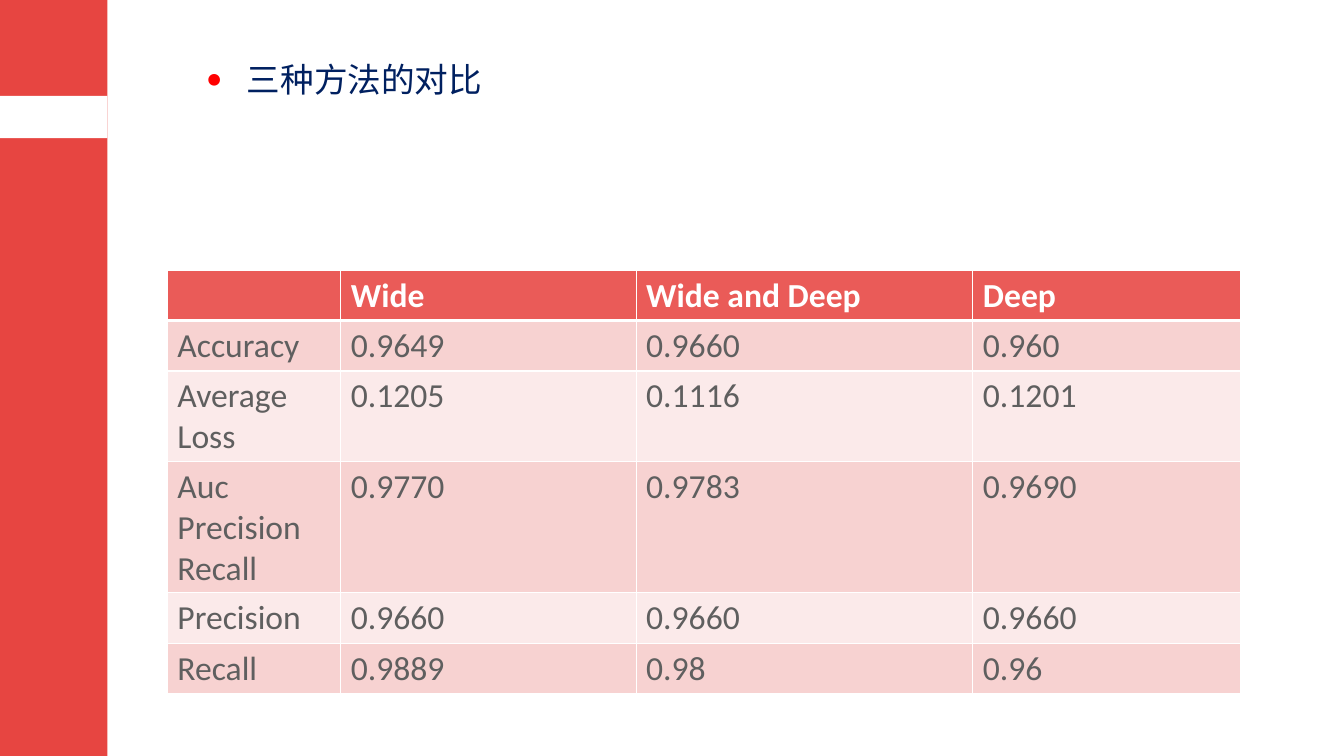
from dataclasses import dataclass

from lxml import etree
from pptx import Presentation
from pptx.dml.color import RGBColor
from pptx.enum.shapes import MSO_SHAPE
from pptx.enum.text import MSO_ANCHOR
from pptx.oxml.ns import qn
from pptx.util import Inches, Pt

RECTANGLE = MSO_SHAPE.RECTANGLE
MIDDLE = MSO_ANCHOR.MIDDLE

HEADING = "三种方法的对比"
METHODS = ["", "Wide", "Wide and Deep", "Deep"]
METRICS = [
    ("Accuracy", "0.9649", "0.9660", "0.960"),
    ("Average Loss", "0.1205", "0.1116", "0.1201"),
    ("Auc Precision Recall", "0.9770", "0.9783", "0.9690"),
    ("Precision", "0.9660", "0.9660", "0.9660"),
    ("Recall", "0.9889", "0.98", "0.96"),
]

SLIDE_W, SLIDE_H = 13.33, 7.5
SIDEBAR_W = 0.08 * SLIDE_W
GAP_TOP, GAP_H = 0.95, 0.42
HEADING_BOX = (1.95, 0.39, 5.85, 0.79)
BULLET_INDENT = 0.4
TABLE_LEFT, TABLE_TOP = 1.66, 2.68
COLUMN_WIDTHS = [1.72, 2.93, 3.34, 2.66]
ROW_H = 0.41


@dataclass(frozen=True)
class Theme:
    font: str = "Calibri"
    size: int = 24
    bullet_percent: int = 75
    sidebar: str = "E74541"
    white: str = "FFFFFF"
    bullet: str = "FF0000"
    heading: str = "002060"
    header: str = "EA5B58"
    bands: tuple = ("F7D2D1", "FBEAEA")
    body: str = "5F5F5F"
    border: int = 1
    header_rule: int = 3


THEME = Theme()


def add_block(slide, top, height, color):
    block = slide.shapes.add_shape(
        RECTANGLE, 0, Inches(top), Inches(SIDEBAR_W), Inches(height))
    block.shadow.inherit = False
    block.fill.solid()
    block.fill.fore_color.rgb = RGBColor.from_string(color)
    block.line.fill.background()


def add_text(paragraph, text, color, bold=False):
    run = paragraph.add_run()
    run.text = text
    run.font.name = THEME.font
    run.font.size = Pt(THEME.size)
    run.font.bold = bold
    run.font.color.rgb = RGBColor.from_string(color)


def set_bullet(paragraph):
    props = paragraph._p.get_or_add_pPr()
    props.set("marL", str(Inches(BULLET_INDENT)))
    props.set("indent", str(-Inches(BULLET_INDENT)))
    color = etree.SubElement(props, qn("a:buClr"))
    etree.SubElement(color, qn("a:srgbClr"), val=THEME.bullet)
    etree.SubElement(props, qn("a:buSzPct"), val=str(THEME.bullet_percent * 1000))
    etree.SubElement(props, qn("a:buFont"), typeface=THEME.font)
    etree.SubElement(props, qn("a:buChar"), char="●")


def set_borders(cell, top, bottom):
    """Draw white borders; top and bottom are widths in points."""
    props = cell._tc.get_or_add_tcPr()
    widths = {"L": THEME.border, "R": THEME.border, "T": top, "B": bottom}
    for side, width in widths.items():
        line = etree.SubElement(props, qn(f"a:ln{side}"), w=str(Pt(width)))
        fill = etree.SubElement(line, qn("a:solidFill"))
        etree.SubElement(fill, qn("a:srgbClr"), val=THEME.white)


def add_heading(slide):
    box = slide.shapes.add_textbox(*map(Inches, HEADING_BOX))
    frame = box.text_frame
    frame.word_wrap = True
    frame.vertical_anchor = MIDDLE
    paragraph = frame.paragraphs[0]
    set_bullet(paragraph)
    add_text(paragraph, HEADING, THEME.heading)


def add_comparison(slide):
    rows = [METHODS, *METRICS]
    table = slide.shapes.add_table(
        len(rows), len(METHODS), Inches(TABLE_LEFT), Inches(TABLE_TOP),
        Inches(sum(COLUMN_WIDTHS)), Inches(ROW_H * len(rows))).table
    for column, width in zip(table.columns, COLUMN_WIDTHS):
        column.width = Inches(width)
    for r, values in enumerate(rows):
        table.rows[r].height = Inches(ROW_H)
        is_header = r == 0
        fill = THEME.header if is_header else THEME.bands[(r - 1) % 2]
        color = THEME.white if is_header else THEME.body
        top = THEME.header_rule if r == 1 else THEME.border
        bottom = THEME.header_rule if is_header else THEME.border
        for c, value in enumerate(values):
            cell = table.cell(r, c)
            set_borders(cell, top, bottom)
            cell.fill.solid()
            cell.fill.fore_color.rgb = RGBColor.from_string(fill)
            if value:
                add_text(cell.text_frame.paragraphs[0], value, color, is_header)


def main():
    deck = Presentation()
    deck.slide_width, deck.slide_height = Inches(SLIDE_W), Inches(SLIDE_H)
    slide = deck.slides.add_slide(deck.slide_layouts[6])
    add_block(slide, 0, SLIDE_H, THEME.sidebar)
    add_block(slide, GAP_TOP, GAP_H, THEME.white)
    add_heading(slide)
    add_comparison(slide)
    deck.save("out.pptx")


if __name__ == "__main__":
    main()
